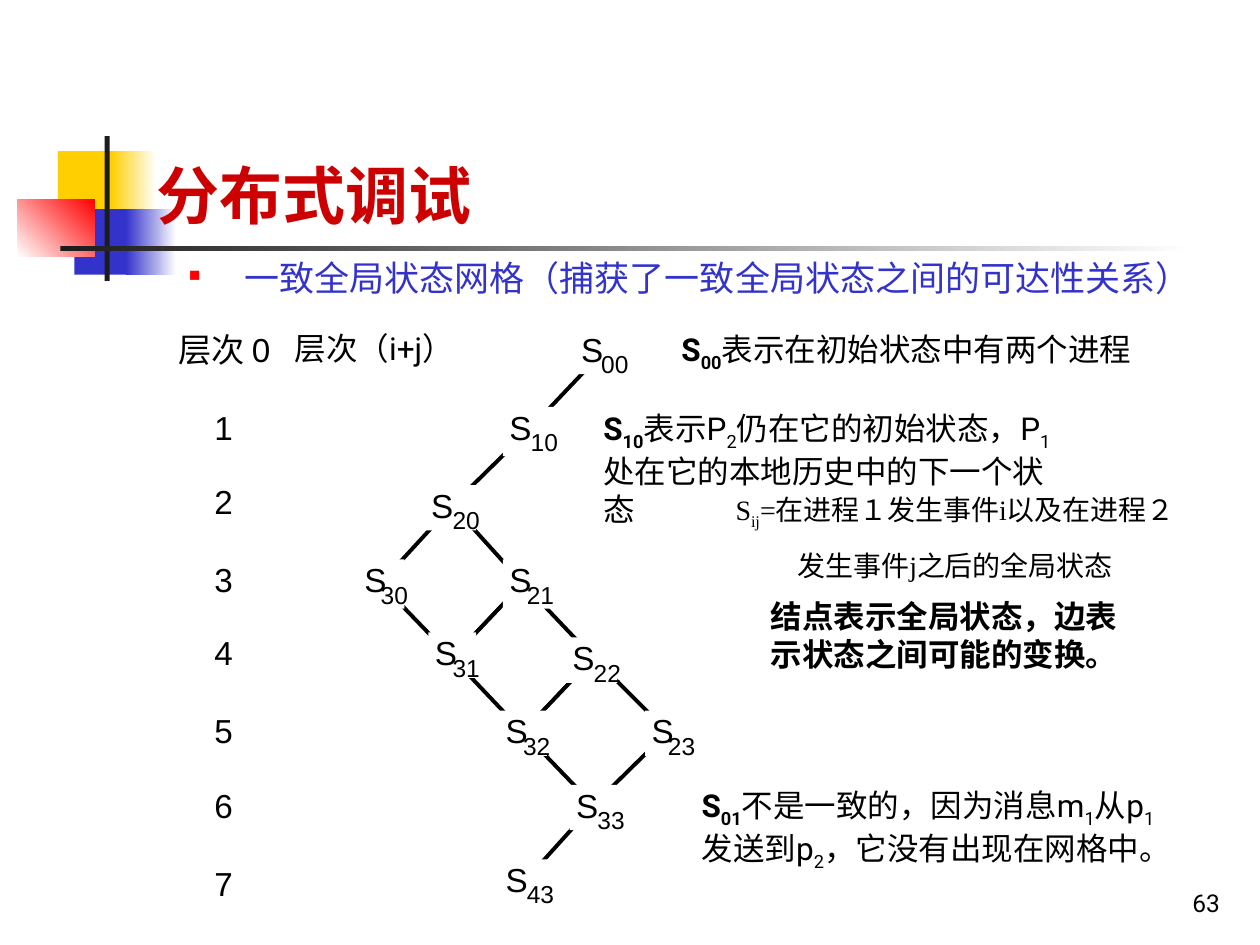
"""Build the slide on the lattice of consistent global states."""
from lxml import etree
from pptx import Presentation
from pptx.dml.color import RGBColor
from pptx.enum import shapes as kinds, text as enums
from pptx.oxml import ns
from pptx.util import Inches, Pt

BLACK = RGBColor(0, 0, 0)
WHITE = RGBColor(255, 255, 255)
GOLD = RGBColor(0xFF, 0xCF, 0x01)
BLUE = RGBColor(0x33, 0x33, 0xCC)
RED = RGBColor(255, 0, 0)
DARK = RGBColor(0x1C, 0x1C, 0x1C)
CRIMSON = RGBColor(0xCC, 0, 0)
CJK = "Noto Sans CJK JP"
LEFT, MID, RIGHT = enums.PP_ALIGN.LEFT, enums.PP_ALIGN.CENTER, enums.PP_ALIGN.RIGHT

DECOR = [
    ((0.46, 1.2, 0.48, 0.52), GOLD, None, 0),
    ((0.88, 1.2, 0.36, 0.52), GOLD, WHITE, 0),
    ((0.59, 1.66, 0.46, 0.52), BLUE, None, 0),
    ((1, 1.66, 0.4, 0.52), BLUE, WHITE, 0),
    ((0.14, 1.58, 0.61, 0.46), WHITE, RED, 45),
    ((0.83, 1.08, 0.04, 1.15), DARK, None, 0),
    ((0.48, 1.95, 9, 0.04), DARK, WHITE, 0),
]
DIAMONDS = [
    [(3.02, 4.63), (3.59, 4.01), (4.15, 4.63), (3.59, 5.22)],
    [(3.59, 5.22), (4.15, 4.63), (4.71, 5.22), (4.15, 5.81)],
    [(4.15, 5.81), (4.71, 5.22), (5.3, 5.81), (4.71, 6.39)],
]
EDGES = [(3.59, 4.01, 4.18, 3.43), (4.18, 3.43, 4.74, 2.84), (4.15, 7.01, 4.71, 6.39)]
ROWS = [2.61, 3.23, 3.82, 4.44, 5.02, 5.64, 6.23, 6.85]
NODES = [
    ("00", 4.61, 2.61, 0.16), ("10", 4.04, 3.23, 0.17), ("20", 3.42, 3.85, 0.17),
    ("21", 4.04, 4.44, 0.14), ("30", 2.89, 4.44, 0.13), ("31", 3.45, 5.02, 0.14),
    ("32", 4.01, 5.64, 0.14), ("22", 4.54, 5.06, 0.17), ("23", 5.17, 5.64, 0.13),
    ("33", 4.57, 6.23, 0.17), ("43", 4.01, 6.82, 0.17),
]
NOTES = [
    ((6.02, 4.69, 3.15, 0.7), "结点表示全局状态，边表示状态之间可能的变换。", 1),
    ((5.31, 2.57, 3.89, 0.44), "S|00|表示在初始状态中有两个进程", 2),
    ((4.69, 3.2, 3.89, 1.08), "S|10|表示P|2|仍在它的初始状态，P|1|处在它的本地历史中的下一个状态", 2),
    ((5.47, 6.19, 3.89, 1.08), "S|01|不是一致的，因为消息m|1|从p|1|发送到p|2|，它没有出现在网格中。", 2),
    ((2.24, 2.56, 1.73, 0.4), "层次（i+j）", 0),
]
KEY = ["S|ij|=在进程１发生事件i以及在进程２", "发生事件j之后的全局状态"]

deck = Presentation()
deck.slide_width, deck.slide_height = Inches(10), Inches(7.5)
slide = deck.slides.add_slide(deck.slide_layouts[6])
pool = slide.shapes


def block(box, tint, end=None, angle=0):
    rect = pool.add_shape(kinds.MSO_SHAPE.RECTANGLE, *map(Inches, box))
    rect.shadow.inherit = False
    rect.line.fill.background()
    if end is None:
        rect.fill.solid()
        rect.fill.fore_color.rgb = tint
        return
    rect.fill.gradient()
    rect.fill.gradient_angle = angle
    for stop, color in zip(rect.fill.gradient_stops, (tint, end)):
        stop.color.rgb = color


def write(box, lines, size, face="Roboto", color=BLACK, bold=0, align=LEFT,
          tight=False, low=False, gap=0):
    """Write lines whose parts alternate between plain and subscript."""
    frame = pool.add_textbox(*map(Inches, box)).text_frame
    frame.word_wrap = not tight
    if tight:
        frame.margin_left = frame.margin_right = 0
        frame.margin_top = frame.margin_bottom = 0
    if low:
        frame.vertical_anchor = enums.MSO_ANCHOR.BOTTOM
    frame.text = "\n".join(lines)
    for row, (para, line) in enumerate(zip(frame.paragraphs, lines)):
        para.alignment = align
        if row:
            para.space_before = Pt(gap)
        parts = line.split("|")
        para.text = parts[0]
        for part in parts[1:]:
            para.add_run().text = part
        for n, run in enumerate(para.runs):
            font = run.font
            font.size, font.name, font.bold = Pt(size), face, n < bold
            font.color.rgb = color
            props = run._r.get_or_add_rPr()
            etree.SubElement(props, ns.qn("a:ea"), typeface=CJK)
            if n % 2:
                props.set("baseline", "-25000")
    return frame


def label(x, y, wide, words, size=19):
    tall = 0.32 if size == 19 else 0.23
    write((x, y, wide, tall), [words], size, "Arial", align=MID, tight=True)


def ink(line):
    line.color.rgb, line.width = BLACK, Pt(2.25)


def bullet(para):
    props = para._p.get_or_add_pPr()
    props.set("marL", str(Inches(0.94)))
    props.set("indent", str(Inches(-0.44)))
    tint = etree.SubElement(props, ns.qn("a:buClr"))
    etree.SubElement(tint, ns.qn("a:srgbClr"), val=str(RED))
    etree.SubElement(props, ns.qn("a:buSzPct"), val="45000")
    etree.SubElement(props, ns.qn("a:buChar"), char="■")


for item in DECOR:
    block(*item)
write((7.7, 6.83, 2.08, 0.5), ["63"], 14, align=RIGHT, low=True)

for n, points in enumerate(DIAMONDS):
    spots = [(Inches(x), Inches(y)) for x, y in points]
    build = pool.build_freeform(*spots[0])
    build.add_line_segments(spots[1:], close=True)
    shape = build.convert_to_shape()
    shape.shadow.inherit = False
    shape.fill.solid()
    shape.fill.fore_color.rgb = WHITE
    ink(shape.line)
for ends in EDGES:
    edge = pool.add_connector(kinds.MSO_CONNECTOR.STRAIGHT, *map(Inches, ends))
    ink(edge.line)
    etree.SubElement(edge._element.spPr, ns.qn("a:effectLst"))
write((5.63, 3.91, 3.9, 0.71), KEY, 16, "Times New Roman",
      align=MID, tight=True, gap=10)

for name, x, y, step in NODES:
    tall = 0.39 if name in ("10", "21", "30") else 0.36
    block((x - 0.05, y, step + 0.24, tall), WHITE)
    label(x, y, 0.18, "S")
    label(x + step, y + 0.16, 0.22, name, 14)

label(1.38, ROWS[0], 0.8, "层次 0")
for n, y in enumerate(ROWS[1:], 1):
    label(1.7, y, 0.15, str(n))

write((1.14, 0.91, 7.4, 0.98), ["分布式调试"], 36, CJK, CRIMSON, 1, low=True)
body = write((0.9, 1.94, 8.82, 5.2),
             ["一致全局状态网格（捕获了一致全局状态之间的可达性关系）"], 20, color=BLUE)
body.paragraphs[0].line_spacing = 1.15
bullet(body.paragraphs[0])
for box, words, bold in NOTES:
    write(box, [words], 18, bold=bold)

deck.save("out.pptx")
